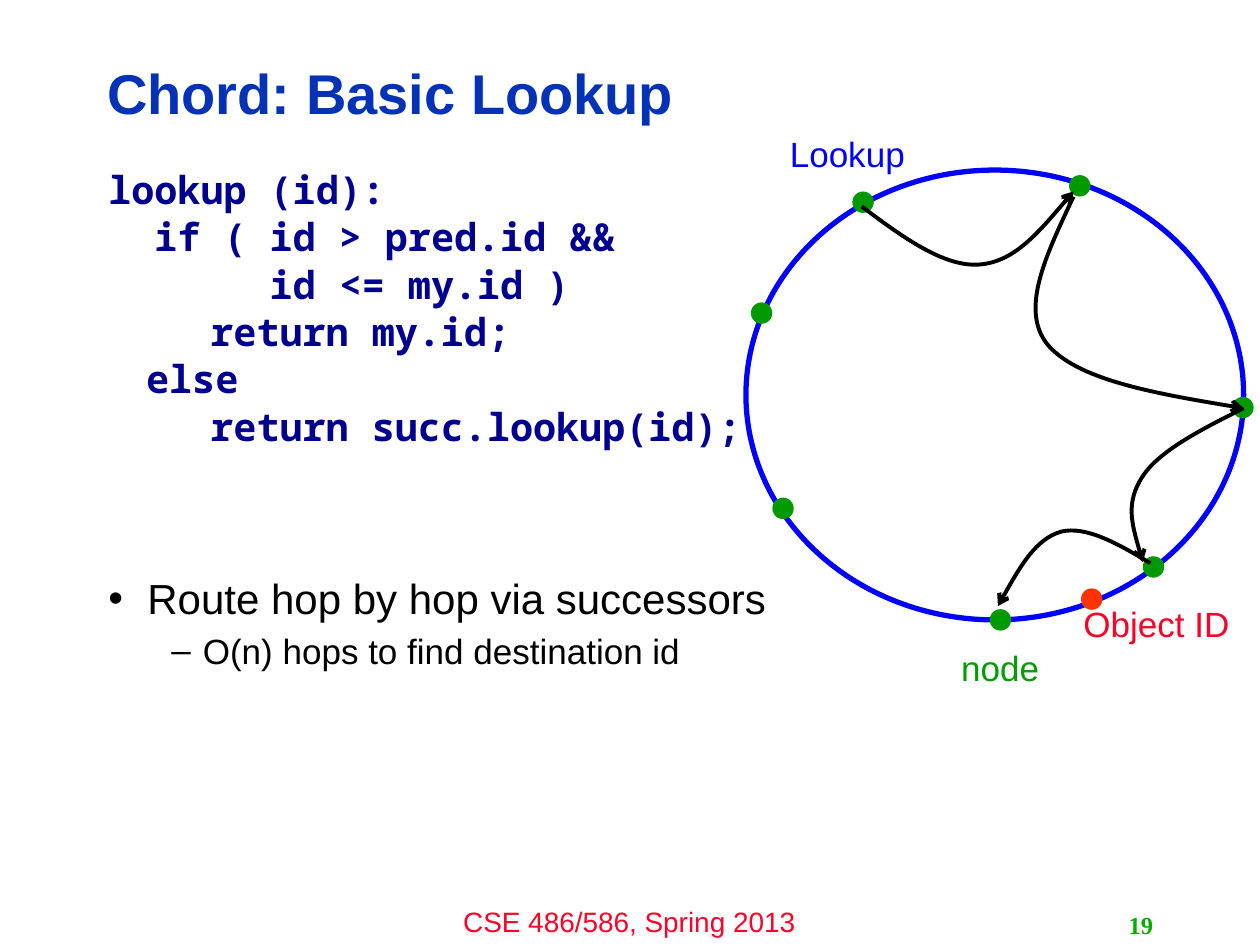
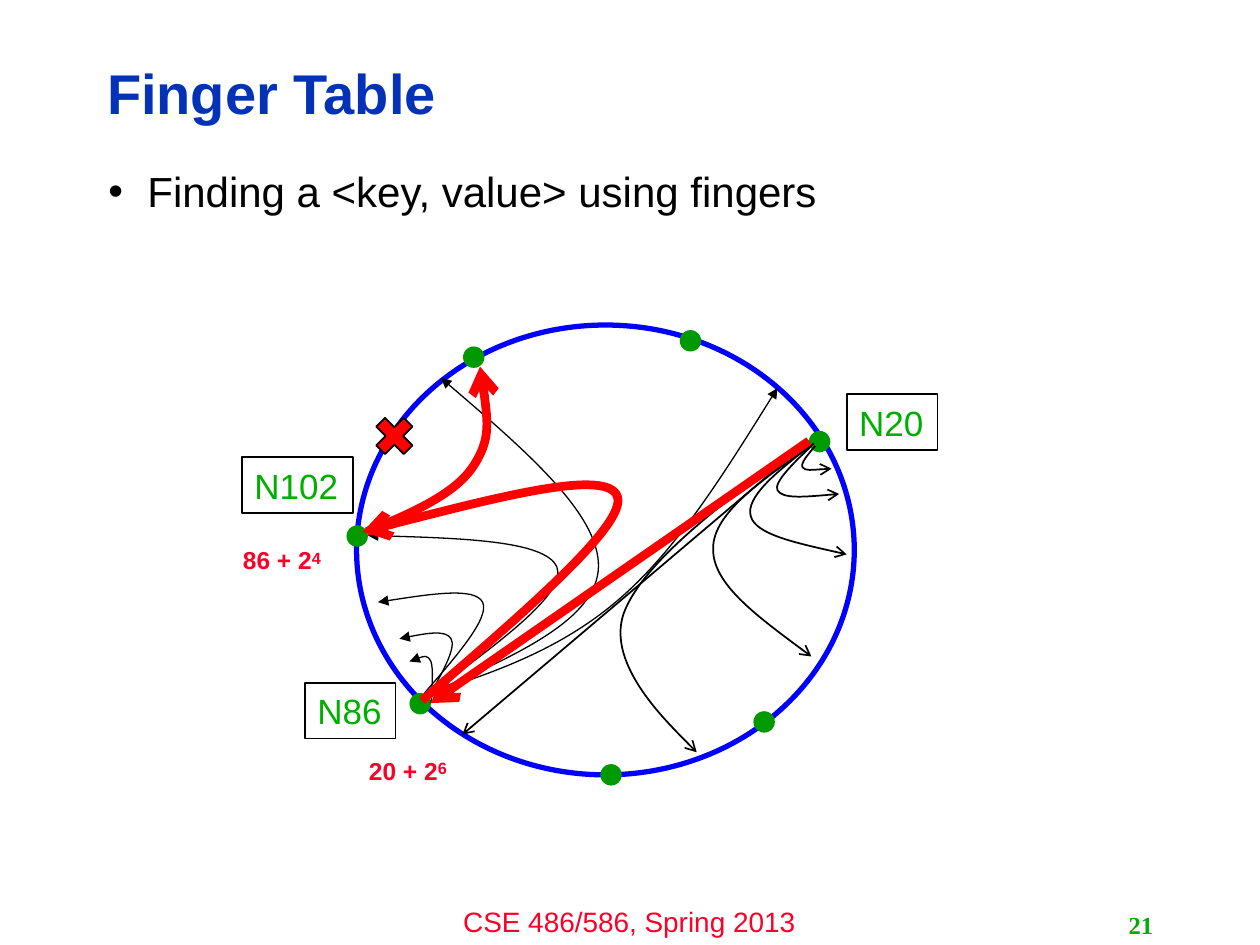
import pptx
import pptx.util
import pptx.dml.color
import pptx.enum.shapes
import pptx.enum.text
import pptx.oxml
import pptx.oxml.ns
from lxml import etree

MSO_SHAPE = pptx.enum.shapes.MSO_SHAPE
ALIGN = pptx.enum.text.PP_ALIGN
ANCHOR = pptx.enum.text.MSO_ANCHOR
qn = pptx.oxml.ns.qn
Pt = pptx.util.Pt

# Slide grid: 100 columns by 75 rows of square cells
WIDTH, HEIGHT = pptx.util.Inches(10), pptx.util.Inches(7.5)
CELL = WIDTH // 100

BLUE, NAVY, RING_BLUE = "0332B7", "000090", "0000FF"
RED, ROUTE_RED, ORANGE = "FC0128", "FF0000", "FF3300"
GREEN, NODE_GREEN, LABEL_GREEN, BLACK = "00AE00", "009900", "009D00", "000000"

# Ring geometry, in cells from the ring's own top left corner
RING_W, RING_H, DOT = 39.5, 35.7, 1.7
COMMON_NODES = [(8.45, 1.7), (25.65, 0.4), (31.5, 30.65), (19.35, 34.85)]


def color(value):
    return pptx.dml.color.RGBColor.from_string(value)


def cells(*values):
    return [round(v * CELL) for v in values]


def write(p, text, size=20, font="Arial", fill=BLACK, bold=False, raised=False):
    """Add a formatted run to a paragraph."""
    r = p.add_run()
    r.text = text
    r.font.size = Pt(size)
    r.font.name = font
    r.font.bold = bold
    r.font.color.rgb = color(fill)
    if raised:
        r._r.get_or_add_rPr().set("baseline", "20000")
    return r


def paint(sp, fill=None, line=None, weight=1, arrow=None):
    """Set fill, line and end arrow of a shape, and take its shadow away."""
    if hasattr(sp, "fill"):
        sp.shadow.inherit = False
        if fill:
            sp.fill.solid()
            sp.fill.fore_color.rgb = color(fill)
        else:
            sp.fill.background()
    else:
        etree.SubElement(sp._element.spPr, qn("a:effectLst"))
    if not line:
        sp.line.fill.background()
        return
    sp.line.color.rgb = color(line)
    sp.line.width = Pt(weight)
    if arrow:
        ln = sp._element.spPr.find(qn("a:ln"))
        etree.SubElement(ln, qn("a:tailEnd"), type=arrow)


def add_preset(s, kind, x, y, w, h, **style):
    sp = s.shapes.add_shape(kind, *cells(x, y, w, h))
    paint(sp, **style)
    return sp


def add_label(s, x, y, w, h, text, align=ALIGN.LEFT, power=None, **fmt):
    tf = s.shapes.add_textbox(*cells(x, y, w, h)).text_frame
    tf.word_wrap = align != ALIGN.LEFT
    p = tf.paragraphs[0]
    p.alignment = align
    write(p, text, **fmt)
    if power:
        write(p, power, **{**fmt, "size": 16, "raised": True})
    return tf


def add_curve(s, origin, points, **style):
    """Draw cubic segments through start, control, control, end points."""
    start, *rest = [cells(origin[0] + x, origin[1] + y) for x, y in points]
    builder = s.shapes.build_freeform(*start)
    builder.add_line_segments(rest, close=False)
    sp = builder.convert_to_shape()
    outline = next(sp._element.iter(qn("a:path")))
    segments = outline.findall(qn("a:lnTo"))
    for i in range(0, len(segments), 3):
        cubic = etree.SubElement(outline, qn("a:cubicBezTo"))
        for segment in segments[i:i + 3]:
            cubic.append(segment[0])
            outline.remove(segment)
    paint(sp, **style)


def add_straight(s, origin, start, end, **style):
    ends = [origin[i % 2] + v for i, v in enumerate(start + end)]
    line = s.shapes.add_connector(pptx.enum.shapes.MSO_CONNECTOR.STRAIGHT, *cells(*ends))
    paint(line, arrow="arrow", **style)


def add_ring(s, origin, extra_nodes):
    add_preset(s, MSO_SHAPE.OVAL, *origin, RING_W, RING_H, line=RING_BLUE, weight=3)
    for x, y in COMMON_NODES + extra_nodes:
        add_preset(s, MSO_SHAPE.OVAL, origin[0] + x, origin[1] + y, DOT, DOT,
                   fill=NODE_GREEN)


def place(sp, x, y, w, h):
    sp.left, sp.top, sp.width, sp.height = cells(x, y, w, h)
    sp.text_frame.auto_size = pptx.enum.text.MSO_AUTO_SIZE.NONE
    return sp.text_frame


def add_page(prs, title, number):
    """New slide with title, footer and page number; returns it with its body."""
    s = prs.slides.add_slide(prs.slide_layouts[1])
    tf = place(s.shapes.title, 7.5, 3.6, 79.8, 8.1)
    tf.vertical_anchor = ANCHOR.MIDDLE
    p = tf.paragraphs[0]
    p.alignment = ALIGN.LEFT
    p.line_spacing = 0.9
    write(p, title, size=32, fill=BLUE, bold=True)
    add_label(s, 33.3, 71.3, 33.3, 3.7, "CSE 486/586, Spring 2013",
              align=ALIGN.CENTER, size=16, fill=RED)
    tf = add_label(s, 71.7, 71.8, 20.8, 3.2, number, align=ALIGN.RIGHT, size=14,
                   font="Times New Roman", fill=GREEN, bold=True)
    tf.vertical_anchor = ANCHOR.MIDDLE
    body = place(s.placeholders[1], 7.6, 13.1, 84, 53.9)
    body.vertical_anchor = ANCHOR.TOP
    return s, body


def add_item(tf, text, margin=0.31, indent=-0.31, bullet=None, level=0, before=0, **fmt):
    first = tf.paragraphs[0]
    p = first if not first.runs else tf.add_paragraph()
    p.level = level
    p.line_spacing = 0.9
    p.space_before = Pt(before)
    pPr = p._p.get_or_add_pPr()
    pPr.set("marL", str(pptx.util.Inches(margin)))
    pPr.set("indent", str(pptx.util.Inches(indent)))
    if bullet:
        etree.SubElement(pPr, qn("a:buFont"), typeface="Arial")
        etree.SubElement(pPr, qn("a:buChar"), char=bullet)
    else:
        etree.SubElement(pPr, qn("a:buNone"))
    write(p, text, **fmt)


def lookup_slide(prs):
    s, body = add_page(prs, "Chord: Basic Lookup", "19")
    # Code, then the bullets under it
    code = [("lookup (id):", 0.31, -0.31),
            ("  if ( id > pred.id &&", 0.31, -0.31),
            ("       id <= my.id )", 0.31, -0.31),
            ("return my.id;", 0.82, -0.01),
            ("else", 0.31, -0.01),
            ("return succ.lookup(id);", 0.82, -0.01)]
    for i, (text, margin, indent) in enumerate(code):
        add_item(body, text, margin, indent, before=3.3 if i else 0, size=22,
                 font="Noto Sans Mono", fill=NAVY, bold=True)
    add_item(body, "Route hop by hop via successors", bullet="•", before=73.5, size=24)
    add_item(body, "O(n) hops to find destination id", 0.75, -0.25, bullet="–",
             level=1, before=6, size=20)

    # Ring with the hops of one lookup
    ring = x, y = 59.2, 13.5
    add_ring(s, ring, [(38.6, 18), (0.4, 10.5), (2.1, 26)])
    hops = [
        [(9.2, 2.9), (12.4, 5.3), (15.7, 7.7), (18.5, 7.5), (21.3, 7.3), (23.6, 4.5), (26, 1.7)],
        [(26, 2.1), (23.9, 6.6), (21.7, 11), (23.9, 13.8), (26.2, 16.6), (32.8, 17.8), (39.5, 18.9)],
        [(39.5, 18.9), (36.1, 20.6), (32.8, 22.3), (31.5, 24.3), (30.1, 26.4), (30.8, 28.7), (31.5, 31.1)],
        [(32.1, 31.2), (29.6, 29.7), (27, 28.2), (25, 28.7), (23, 29.3), (21.5, 31.9), (20, 34.6)],
    ]
    for hop in hops:
        add_curve(s, ring, hop, line=BLACK, weight=2.25, arrow="arrow")
    add_preset(s, MSO_SHAPE.OVAL, x + 26.6, y + 33.2, DOT, DOT, fill=ORANGE)
    for dx, dy, w, text, fill in [(16.1, 37.3, 8.3, "node", LABEL_GREEN),
                                  (2.5, -3.5, 11.2, "Lookup", RING_BLUE),
                                  (25.8, 33.8, 13.7, "Object ID", RED)]:
        add_label(s, x + dx, y + dy, w, 4.4, text, fill=fill)


def finger_slide(prs):
    s, body = add_page(prs, "Finger Table", "21")
    add_item(body, "Finding a <key, value> using fingers", bullet="•", size=24)

    ring = x, y = 28.3, 25.8
    add_ring(s, ring, [(35.9, 8.4), (-0.8, 15.9), (4.2, 29.2)])

    # Fingers of N86
    n86_fingers = [
        [(5.9, 30), (6, 28.6), (6.1, 27.3), (5.9, 26.7), (5.6, 26.1), (4.9, 26.4), (4.2, 26.7)],
        [(5.9, 29.2), (6.9, 27.4), (7.9, 25.6), (7.5, 24.9), (7.1, 24.2), (5.2, 24.5), (3.4, 24.9)],
        [(5.4, 29.2), (8, 26.2), (10.6, 23.2), (10, 22), (9.4, 20.8), (5.5, 21.4), (1.7, 22)],
        [(5.9, 29.2), (11.3, 25.2), (16.7, 21.3), (15.9, 19.2), (15, 17.1), (7.9, 16.9), (0.9, 16.7)],
        [(5.9, 29.2), (12.5, 26.3), (19.1, 23.4), (19.2, 19.2), (19.3, 15), (13, 9.6), (6.7, 4.2)],
        [(5.9, 29.2), (11.1, 27.5), (16.3, 25.7), (20.9, 21.7), (25.5, 17.7), (29.4, 11.4), (33.4, 5)],
    ]
    for finger in n86_fingers:
        add_curve(s, ring, finger, line=BLACK, weight=0.75, arrow="triangle")

    # Node names and the failed node
    for dx, dy, w, text, weight in [(-4.1, 28.4, 7.2, "N86", 0.75),
                                    (-9.1, 10.5, 8.8, "N102", 1),
                                    (38.9, 5.5, 7.2, "N20", 1)]:
        sp = add_preset(s, MSO_SHAPE.RECTANGLE, x + dx, y + dy, w, 4.4,
                        line=BLACK, weight=weight)
        sp.text_frame.word_wrap = False
        sp.text_frame.paragraphs[0].alignment = ALIGN.LEFT
        write(sp.text_frame.paragraphs[0], text, fill=GREEN)
    for dx, dy, text, power in [(-10, 16.7, "86 + 2", "4"), (0, 33.4, "20 + 2", "6")]:
        add_label(s, x + dx, y + dy, 8.4, 3.4, text, power=power, size=14,
                  fill=RED, bold=True)
    add_preset(s, MSO_SHAPE.MATH_MULTIPLY, x + 0.9, y + 6.7, 4.2, 4.2,
               fill=ROUTE_RED, line=BLACK)

    # Fingers of N20
    n20 = 35.9, 9.2
    add_straight(s, ring, n20, (8.4, 32.5), line=BLACK)
    n20_fingers = [
        [(36.4, 9.6), (35.8, 10.3), (35.2, 11), (35.4, 11.3), (35.6, 11.6), (37.6, 11.4), (37.7, 11.4)],
        [(36.1, 9.6), (34.6, 11), (33.1, 12.5), (33.4, 13.1), (33.8, 13.8), (36, 13.6), (38.3, 13.4)],
        [(36, 9.6), (33.4, 11.6), (30.8, 13.7), (31.3, 15.2), (31.7, 16.6), (35.3, 17.4), (38.9, 18.2)],
        [(36.3, 9.4), (32.3, 12.2), (28.3, 14.9), (28.3, 17.7), (28.2, 20.5), (32.2, 23.4), (36.1, 26.3)],
        [(35.8, 9.1), (29.3, 13.9), (22.7, 18.8), (21.2, 22.9), (19.8, 27), (26.8, 33.7), (27, 33.9)],
    ]
    for finger in n20_fingers:
        add_curve(s, ring, finger, line=BLACK, arrow="arrow")

    # Route taken by the query
    add_straight(s, ring, n20, (5.9, 30), line=ROUTE_RED, weight=5)
    route = [
        [(5.2, 29.8), (13.3, 22.8), (21.5, 15.8), (20.7, 13.6), (19.9, 11.4), (10.2, 13.9), (0.5, 16.4)],
        [(0.8, 16.4), (4.2, 15), (7.7, 13.5), (9.2, 11.3), (10.7, 9.1), (10.3, 6.2), (9.8, 3.3)],
    ]
    for leg in route:
        add_curve(s, ring, leg, line=ROUTE_RED, weight=5, arrow="arrow")


def main():
    prs = pptx.Presentation()
    prs.slide_width, prs.slide_height = WIDTH, HEIGHT
    lookup_slide(prs)
    finger_slide(prs)
    prs.save("out.pptx")


if __name__ == "__main__":
    main()
